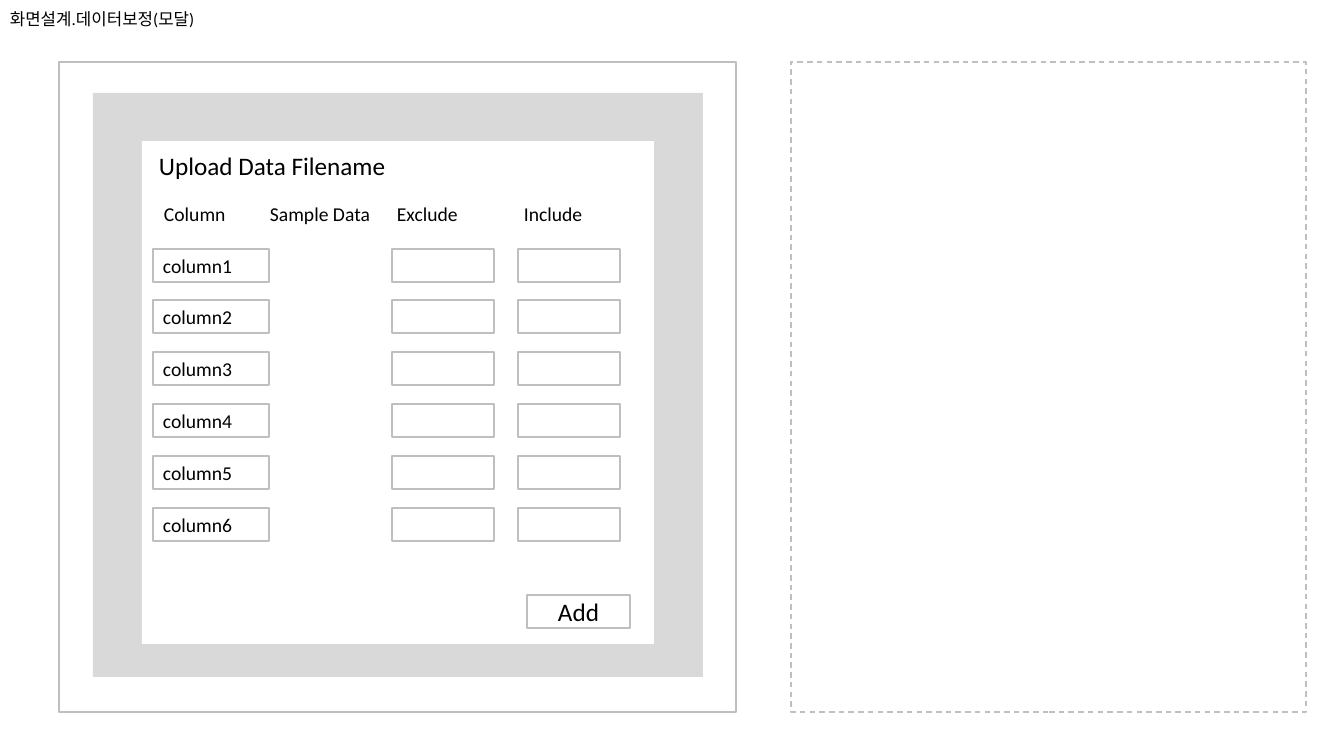
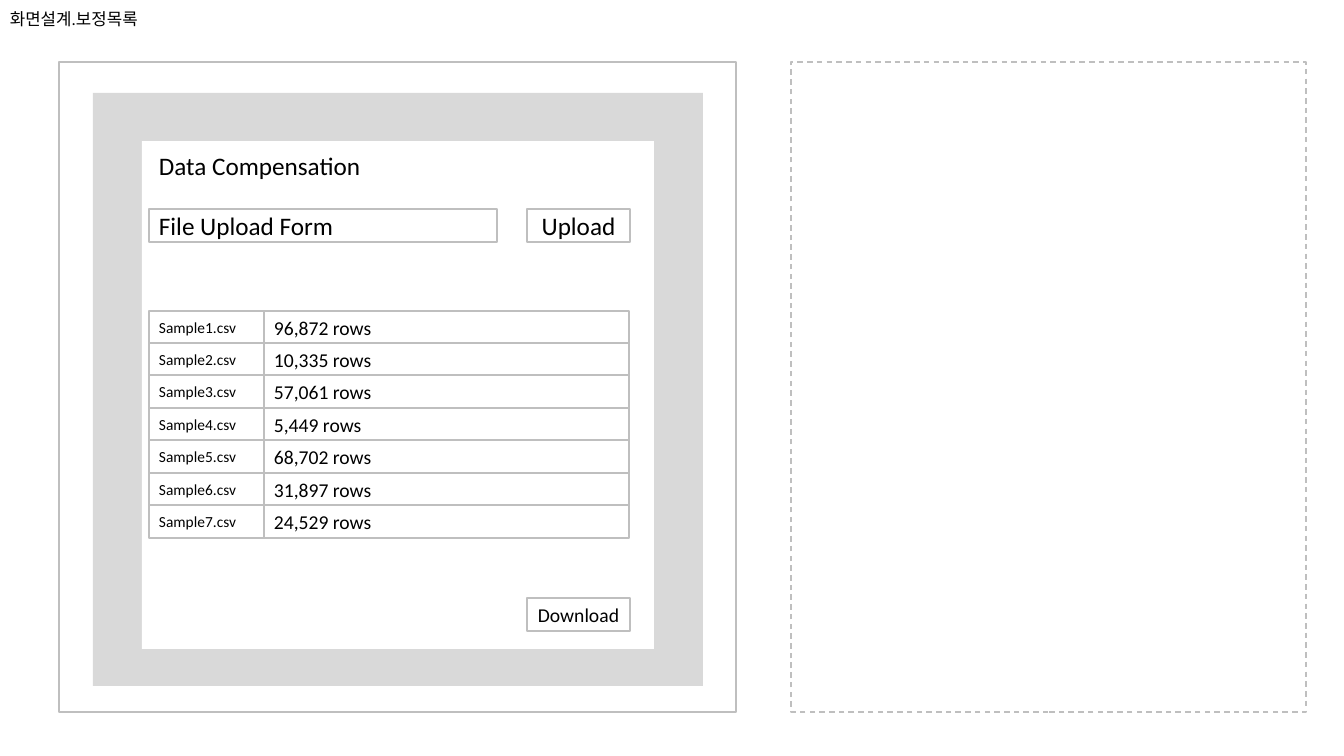
import pptx
import pptx.util
import pptx.dml.color
import pptx.enum.dml
import pptx.enum.shapes
import pptx.enum.text
import pptx.oxml
import pptx.oxml.ns

SCALE = 914400 / 100.8
FONT = "Calibri"
INK, PAPER, BAND, EDGE = "000000", "FFFFFF", "D9D9D9", "BFBFBF"
ALIGN = pptx.enum.text.PP_ALIGN
MIDDLE = pptx.enum.text.MSO_ANCHOR.MIDDLE
FIELD = 33


def px(n):
    """Turn pixels into EMU."""
    return pptx.util.Emu(round(n * SCALE))


def color(code):
    """Turn a hex string into a colour."""
    return pptx.dml.color.RGBColor.from_string(code)


def write(frame, text, size, align=ALIGN.LEFT):
    """Put one styled paragraph into a text frame."""
    frame.text = text
    para = frame.paragraphs[0]
    para.alignment = align
    for run in para.runs:
        run.font.size = pptx.util.Pt(size)
        run.font.name = FONT
        run.font.color.rgb = color(INK)
    return para


def rect(slide, box, fill=PAPER, line=None, dash=False):
    """Draw a plain rectangle."""
    kind = pptx.enum.shapes.MSO_SHAPE.RECTANGLE
    shape = slide.shapes.add_shape(kind, *map(px, box))
    shape.shadow.inherit = False
    if fill:
        shape.fill.solid()
        shape.fill.fore_color.rgb = color(fill)
    else:
        shape.fill.background()
    if line:
        shape.line.color.rgb = color(line)
        shape.line.width = pptx.util.Pt(1)
        if dash:
            shape.line.dash_style = pptx.enum.dml.MSO_LINE.DASH
    else:
        shape.line.fill.background()
    return shape


def label(slide, box, text, size, align=ALIGN.LEFT, line=EDGE):
    """Draw a rectangle with text centred in its height."""
    shape = rect(slide, box, line=line)
    frame = shape.text_frame
    frame.word_wrap = True
    frame.vertical_anchor = MIDDLE
    return write(frame, text, size, align)


def button(slide, left, top, text, size):
    """Draw a button."""
    label(slide, (left, top, 103, FIELD), text, size, ALIGN.CENTER)


def title(slide, width, text):
    """Write the slide title."""
    box = slide.shapes.add_textbox(*map(px, (0, 4, width, 31)))
    box.text_frame.word_wrap = True
    write(box.text_frame, text, 12)


def page(deck, name, width, band, modal, head, span):
    """Start a slide with its frames and its modal, and give the modal's corner."""
    slide = deck.slides.add_slide(deck.slide_layouts[6])
    title(slide, width, name)
    rect(slide, (59, 62, 677, 650), None, EDGE)
    rect(slide, (791, 62, 515, 650), None, EDGE, True)
    rect(slide, (93, 93, 610, band), BAND)
    left, top = 142, 141
    rect(slide, (left, top, 512, modal))
    label(slide, (left + 7, top + 8, span, FIELD), head, 18, line=None)
    return slide, left, top


def heads(slide, box, names, stops):
    """Write column heads on one line with tab stops."""
    para = label(slide, box, "\t".join(names), 14, line=None)
    props = para._p.get_or_add_pPr()
    tabs = pptx.oxml.parse_xml("<a:tabLst %s/>" % pptx.oxml.ns.nsdecls("a"))
    for stop in stops:
        tab = tabs.makeelement(pptx.oxml.ns.qn("a:tab"), {"pos": str(px(stop)), "algn": "l"})
        tabs.append(tab)
    props.append(tabs)


def form(slide, left, top, count):
    """Draw rows of a column name and two empty fields."""
    for i in range(count):
        y = top + 259 * i // 5
        label(slide, (left, y, 116, FIELD), f"column{i + 1}", 14)
        for x in (239, 365):
            rect(slide, (left + x, y, 102, FIELD), line=EDGE)


def files(slide, left, top, rows):
    """Draw a row of two joined boxes for each file and its row count."""
    for i, count in enumerate(rows):
        y = top + 324 * i // 10
        label(slide, (left, y, 116, FIELD), f"Sample{i + 1}.csv", 11)
        label(slide, (left + 115, y, 365, FIELD), f"{count:,} rows", 14)


def adjust(deck):
    """Build the modal for choosing columns."""
    slide, left, top = page(deck, "화면설계.데이터보정(모달)", 222, 584, 503,
                            "Upload Data Filename", 378)
    names = ("Column", "Sample Data", "Exclude", "Include")
    heads(slide, (left + 12, top + 56, 487, FIELD), names, (106, 233, 360))
    form(slide, left + 11, top + 108, 6)
    button(slide, left + 385, top + 454, "Add", 18)


def listing(deck):
    """Build the list of corrected files."""
    slide, left, top = page(deck, "화면설계.보정목록", 160, 593, 508,
                            "Data Compensation", 348)
    label(slide, (left + 7, top + 68, 348, FIELD), "File Upload Form", 18)
    button(slide, left + 385, top + 68, "Upload", 18)
    files(slide, left + 7, top + 170,
          (96872, 10335, 57061, 5449, 68702, 31897, 24529))
    button(slide, left + 385, top + 457, "Download", 14)


def main():
    """Build and save the deck."""
    deck = pptx.Presentation()
    deck.slide_width, deck.slide_height = px(1344), px(756)
    adjust(deck)
    listing(deck)
    deck.save("out.pptx")


main()
